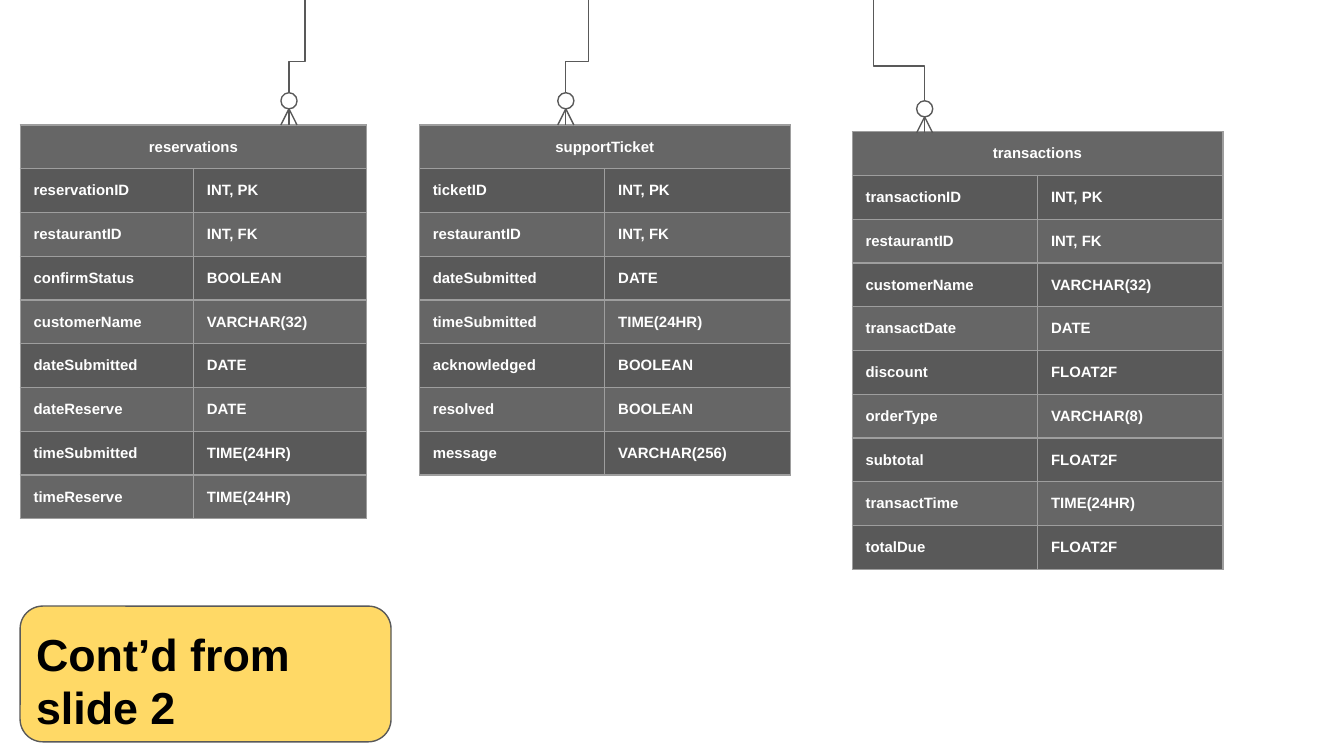
from lxml import etree
from pptx import Presentation
from pptx.dml.color import RGBColor
from pptx.enum.shapes import MSO_CONNECTOR, MSO_SHAPE
from pptx.enum.text import MSO_ANCHOR, PP_ALIGN
from pptx.oxml.ns import qn
from pptx.util import Inches, Pt

STRAIGHT, ELBOW = MSO_CONNECTOR.STRAIGHT, MSO_CONNECTOR.ELBOW
OVAL, ROUNDED = MSO_SHAPE.OVAL, MSO_SHAPE.ROUNDED_RECTANGLE
CENTER, TOP = PP_ALIGN.CENTER, MSO_ANCHOR.TOP

COLORS = {"header": "666666", "odd": "595959", "even": "666666",
          "border": "9E9E9E", "line": "595959", "note": "FFD966",
          "white": "FFFFFF", "black": "000000"}
FONT = "Arial"
ROW_H = 0.32
MARGIN = 0.1

# Each entity: left, top, column width, fields
ENTITIES = {
    "reservations": (0.15, 0.93, 1.29, [
        ("reservationID", "INT, PK"), ("restaurantID", "INT, FK"),
        ("confirmStatus", "BOOLEAN"), ("customerName", "VARCHAR(32)"),
        ("dateSubmitted", "DATE"), ("dateReserve", "DATE"),
        ("timeSubmitted", "TIME(24HR)"), ("timeReserve", "TIME(24HR)")]),
    "supportTicket": (3.12, 0.93, 1.38, [
        ("ticketID", "INT, PK"), ("restaurantID", "INT, FK"),
        ("dateSubmitted", "DATE"), ("timeSubmitted", "TIME(24HR)"),
        ("acknowledged", "BOOLEAN"), ("resolved", "BOOLEAN"),
        ("message", "VARCHAR(256)")]),
    "transactions": (6.34, 0.98, 1.38, [
        ("transactionID", "INT, PK"), ("restaurantID", "INT, FK"),
        ("customerName", "VARCHAR(32)"), ("transactDate", "DATE"),
        ("discount", "FLOAT2F"), ("orderType", "VARCHAR(8)"),
        ("subtotal", "FLOAT2F"), ("transactTime", "TIME(24HR)"),
        ("totalDue", "FLOAT2F")]),
}
# Each relation: x where it enters the slide, x and y where it meets its table
RELATIONS = [(2.27, 2.15, 0.93), (6.5, 6.88, 0.99), (4.38, 4.21, 0.93)]


def rgb(name):
    return RGBColor.from_string(COLORS[name])


def add_run(p, text, size, color):
    r = p.add_run()
    r.text = text
    r.font.name, r.font.size, r.font.bold = FONT, Pt(size), True
    r.font.color.rgb = rgb(color)


def set_borders(cell):
    tcPr = cell._tc.get_or_add_tcPr()
    for side in ("a:lnL", "a:lnR", "a:lnT", "a:lnB"):
        ln = etree.SubElement(tcPr, qn(side), w=str(Pt(0.75)))
        fill = etree.SubElement(ln, qn("a:solidFill"))
        etree.SubElement(fill, qn("a:srgbClr"), val=COLORS["border"])


def fill_cell(cell, text, fill, align=None):
    cell.margin_left = cell.margin_right = Inches(MARGIN)
    cell.margin_top = cell.margin_bottom = Inches(MARGIN)
    set_borders(cell)
    cell.fill.solid()
    cell.fill.fore_color.rgb = rgb(fill)
    p = cell.text_frame.paragraphs[0]
    p.alignment = align
    add_run(p, text, 8, "white")


def add_entity(s, name, x, y, col_w, fields):
    n = len(fields) + 1
    table = s.shapes.add_table(n, 2, Inches(x), Inches(y),
                               Inches(2 * col_w), Inches(n * ROW_H)).table
    for col in table.columns:
        col.width = Inches(col_w)
    table.cell(0, 0).merge(table.cell(0, 1))
    fill_cell(table.cell(0, 0), name, "header", CENTER)
    set_borders(table.cell(0, 1))
    for i, field in enumerate(fields, 1):
        for j, text in enumerate(field):
            fill_cell(table.cell(i, j), text, "odd" if i % 2 else "even")


def add_line(s, kind, x1, y1, x2, y2):
    c = s.shapes.add_connector(kind, Inches(x1), Inches(y1),
                               Inches(x2), Inches(y2))
    c.line.color.rgb = rgb("line")
    c.line.width = Pt(0.75)
    etree.SubElement(c._element.spPr, qn("a:effectLst"))
    return c


def add_vertical_elbow(s, x1, y1, x2, y2):
    """Elbow that leaves and arrives vertically: a turned horizontal one."""
    cx, cy = (x1 + x2) / 2, (y1 + y2) / 2
    half_w, half_h = (y2 - y1) / 2, abs(x2 - x1) / 2
    turn = 90
    if x2 > x1:
        half_w, turn = -half_w, 270
    c = add_line(s, ELBOW, cx - half_w, cy - half_h, cx + half_w, cy + half_h)
    c._element.spPr.find(qn("a:xfrm")).set("rot", str(turn * 60000))


def add_shape(s, kind, x, y, w, h, fill):
    sp = s.shapes.add_shape(kind, Inches(x), Inches(y), Inches(w), Inches(h))
    sp.shadow.inherit = False
    sp.fill.solid()
    sp.fill.fore_color.rgb = rgb(fill)
    sp.line.color.rgb = rgb("line")
    sp.line.width = Pt(0.75)


def add_relation(s, x_start, x, y):
    """Line from the slide's top edge to a zero-or-many crow's foot."""
    foot_h, foot_w, d = 0.12, 0.06, 0.12
    add_vertical_elbow(s, x_start, -0.01, x, y)
    for side in (-1, 1):
        add_line(s, STRAIGHT, x, y - foot_h, x + side * foot_w, y)
    add_shape(s, OVAL, x - d / 2, y - foot_h - d, d, d, "white")


def add_note(s, x, y, w, h, text):
    add_shape(s, ROUNDED, x, y, w, h, "note")
    box = s.shapes.add_textbox(Inches(x + 0.02), Inches(y + 0.05),
                               Inches(w - 0.06), Inches(h - 0.09))
    tf = box.text_frame
    tf.word_wrap = True
    tf.vertical_anchor = TOP
    tf.margin_left = tf.margin_right = Inches(MARGIN)
    tf.margin_top = tf.margin_bottom = Inches(MARGIN)
    add_run(tf.paragraphs[0], text, 24, "black")


def main():
    prs = Presentation()
    prs.slide_width = Inches(10)
    prs.slide_height = prs.slide_width * 9 // 16
    s = prs.slides.add_slide(prs.slide_layouts[6])
    for name, entity in ENTITIES.items():
        add_entity(s, name, *entity)
    for relation in RELATIONS:
        add_relation(s, *relation)
    add_note(s, 0.15, 4.51, 2.76, 1.01, "Cont’d from slide 2")
    prs.save("out.pptx")


if __name__ == "__main__":
    main()
